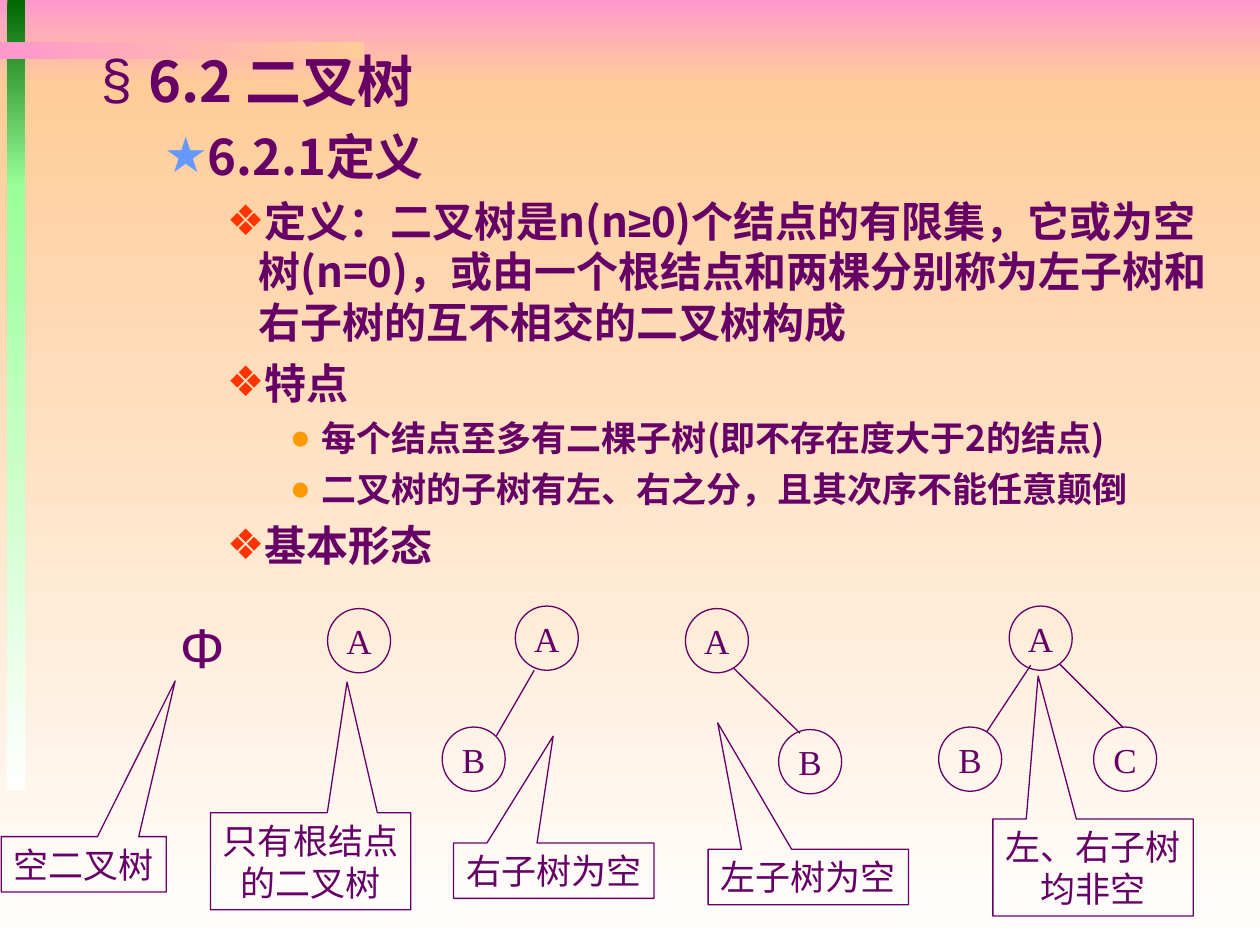
from pptx import Presentation
from pptx.dml.color import RGBColor
from pptx.enum import shapes, text
from pptx.oxml.ns import qn
from pptx.util import Inches, Pt
from lxml import etree

COLORS = {
    "ink": "660066", "pink": "FF99CC", "peach": "FFCC99", "white": "FFFFFF",
    "dark_green": "006600", "light_green": "99FF99",
    "star": "6699FF", "diamond": "FF3300", "dot": "FF9900",
}
CJK_FONT = "Noto Sans CJK SC"
INK = RGBColor.from_string(COLORS["ink"])


def style_run(run, size, font_name, bold=False):
    run.font.size = Pt(size)
    run.font.name = font_name
    run.font.bold = bold
    run.font.color.rgb = INK
    latin = run.font._element.find(qn("a:latin"))
    east_asian = etree.Element(qn("a:ea"), typeface=CJK_FONT)
    latin.addnext(east_asian)


def style_label(shape, label, size, font_name):
    frame = shape.text_frame
    frame.text = label
    frame.word_wrap = False
    frame.vertical_anchor = text.MSO_ANCHOR.MIDDLE
    for paragraph in frame.paragraphs:
        paragraph.alignment = text.PP_ALIGN.CENTER
        for run in paragraph.runs:
            style_run(run, size, font_name)


presentation = Presentation()
presentation.slide_width = Inches(10)
presentation.slide_height = Inches(7.5)
slide = presentation.slides.add_slide(presentation.slide_layouts[1])
title = slide.shapes.title
title._element.getparent().remove(title._element)
body = slide.placeholders[1]

# Background bands: left, top, width, height, start, end, angle
bands = [
    (0, 0, 10, 0.67, "pink", "peach", 270),
    (0, 0.67, 10, 6.83, "peach", "white", 270),
    (0.06, 0, 0.14, 1.48, "dark_green", "light_green", 270),
    (0.06, 1.46, 0.14, 4.81, "light_green", "white", 270),
    (0, 0.33, 2.89, 0.14, "pink", "peach", 0),
]
for left, top, width, height, start, end, angle in bands:
    band = slide.shapes.add_shape(shapes.MSO_SHAPE.RECTANGLE, Inches(left), Inches(top),
                                  Inches(width), Inches(height))
    band.shadow.inherit = False
    band.line.fill.background()
    band.fill.gradient()
    band.fill.gradient_angle = angle
    for stop, color in zip(band.fill.gradient_stops, (start, end)):
        stop.color.rgb = RGBColor.from_string(COLORS[color])

# Outline text, in front of the bands
slide.shapes._spTree.append(body._element)
body.left, body.top = Inches(0.7), Inches(0.32)
body.width, body.height = Inches(9.03), Inches(4.62)
body.text_frame.auto_size = text.MSO_AUTO_SIZE.NONE
body.text_frame.vertical_anchor = text.MSO_ANCHOR.TOP

# Per level: margin, hanging indent, space before, size, bullet, bullet colour
levels = [
    (0.38, 0.38, 8, 32, "§", "ink"),
    (0.81, 0.31, 7, 28, "★", "star"),
    (1.25, 0.25, 6, 24, "❖", "diamond"),
    (1.75, 0.25, 5, 20, "●", "dot"),
]
outline = [
    (0, ["6.2 二叉树"]),
    (1, ["6.2.1定义"]),
    (2, ["定义：二叉树是n(n", "≥",
         "0)个结点的有限集，它或为空树(n=0)，或由一个根结点和两棵分别称为左子树和右子树的互不相交的二叉树构成"]),
    (2, ["特点"]),
    (3, ["每个结点至多有二棵子树(即不存在度大于2的结点)"]),
    (3, ["二叉树的子树有左、右之分，且其次序不能任意颠倒"]),
    (2, ["基本形态"]),
]
for number, (level, pieces) in enumerate(outline):
    margin, hanging, space, size, bullet, bullet_color = levels[level]
    paragraph = body.text_frame.paragraphs[0] if number == 0 else body.text_frame.add_paragraph()
    paragraph.level = level
    paragraph.space_before = Pt(space if number else 0)
    properties = paragraph._p.get_or_add_pPr()
    properties.set("marL", str(Inches(margin)))
    properties.set("indent", str(-Inches(hanging)))
    color = etree.SubElement(properties, qn("a:buClr"))
    etree.SubElement(color, qn("a:srgbClr"), val=COLORS[bullet_color])
    etree.SubElement(properties, qn("a:buFont"), typeface="Arial")
    etree.SubElement(properties, qn("a:buChar"), char=bullet)
    for piece in pieces:
        run = paragraph.add_run()
        run.text = piece
        style_run(run, size, "Arial" if piece == "≥" else CJK_FONT, bold=True)

# Empty tree symbol
symbol = slide.shapes.add_textbox(Inches(1.33), Inches(4.81), Inches(0.54), Inches(0.64))
style_label(symbol, "Φ", 32, "Arial")

# Tree nodes and callouts: shape, label, left, top, width, height, pointer
circle, callout = shapes.MSO_SHAPE.OVAL, shapes.MSO_SHAPE.RECTANGULAR_CALLOUT
nodes = [
    ("A", 2.6, 4.83),
    ("A", 4.09, 4.81), ("B", 3.51, 5.77),
    ("A", 5.44, 4.83), ("B", 6.18, 5.79),
    ("A", 8.01, 4.81), ("B", 7.45, 5.77), ("C", 8.68, 5.77),
]
callouts = [
    ("空二叉树", 0.01, 6.64, 1.31, 0.44, (0.554, -3.308)),
    ("只有根结点\n的二叉树", 1.67, 6.45, 1.59, 0.77, (0.182, -1.846)),
    ("右子树为空", 3.6, 6.69, 1.59, 0.44, (-0.003, -2.425)),
    ("左子树为空", 5.62, 6.74, 1.59, 0.44, (-0.452, -2.779)),
    ("左、右子树\n均非空", 7.88, 6.5, 1.59, 0.77, (-0.274, -1.973)),
]
outlined = [(circle, *node, 0.5, 0.51, ()) for node in nodes]
outlined += [(callout, *item) for item in callouts]
for kind, label, left, top, width, height, pointer in outlined:
    shape = slide.shapes.add_shape(kind, Inches(left), Inches(top), Inches(width), Inches(height))
    shape.shadow.inherit = False
    shape.fill.background()
    shape.line.color.rgb = INK
    shape.line.width = Pt(0.75)
    for index, value in enumerate(pointer):
        shape.adjustments[index] = value
    style_label(shape, label, 20, "Times New Roman")

# Tree branches
branches = [
    (4.24, 5.32, 3.94, 5.84),
    (5.82, 5.3, 6.35, 5.82),
    (8.18, 5.28, 7.83, 5.81),
    (8.41, 5.27, 8.91, 5.77),
]
for ends in branches:
    branch = slide.shapes.add_connector(shapes.MSO_CONNECTOR.STRAIGHT, *map(Inches, ends))
    branch.line.color.rgb = INK
    branch.line.width = Pt(0.75)
    etree.SubElement(branch._element.spPr, qn("a:effectLst"))

presentation.save("out.pptx")
